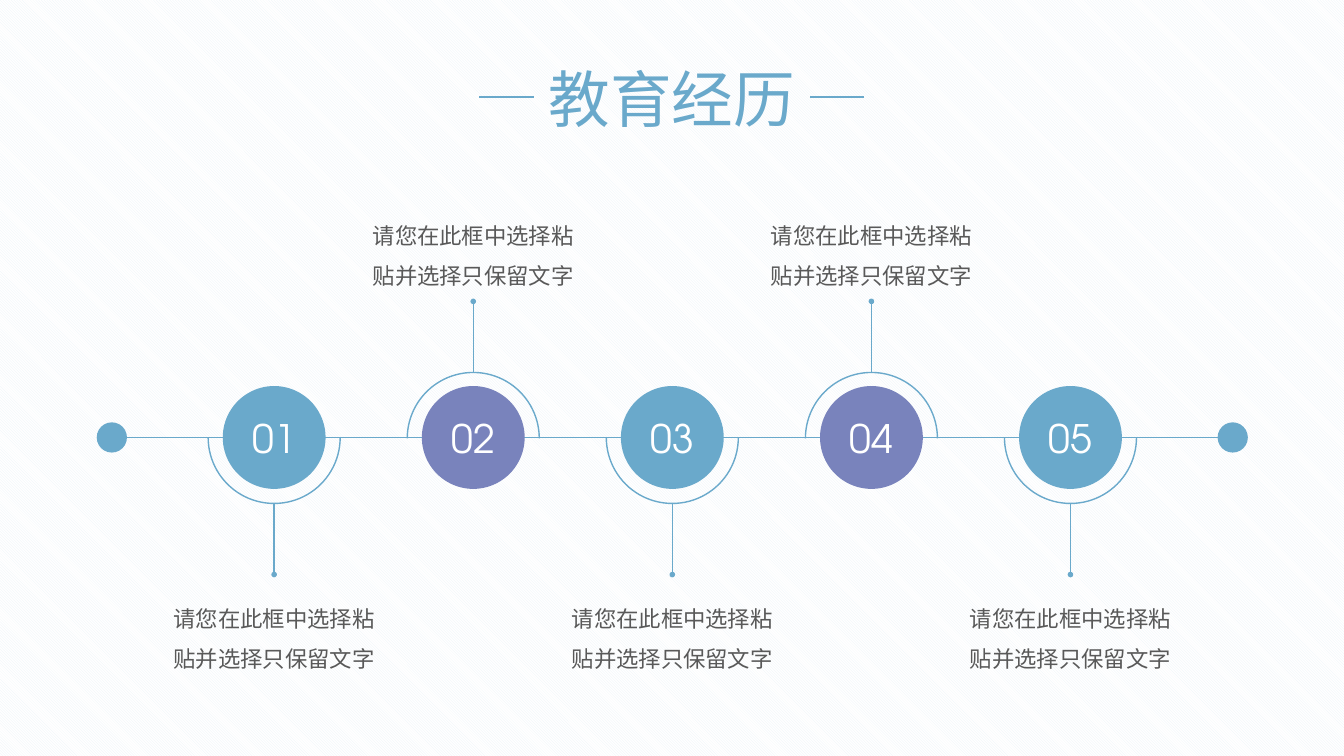
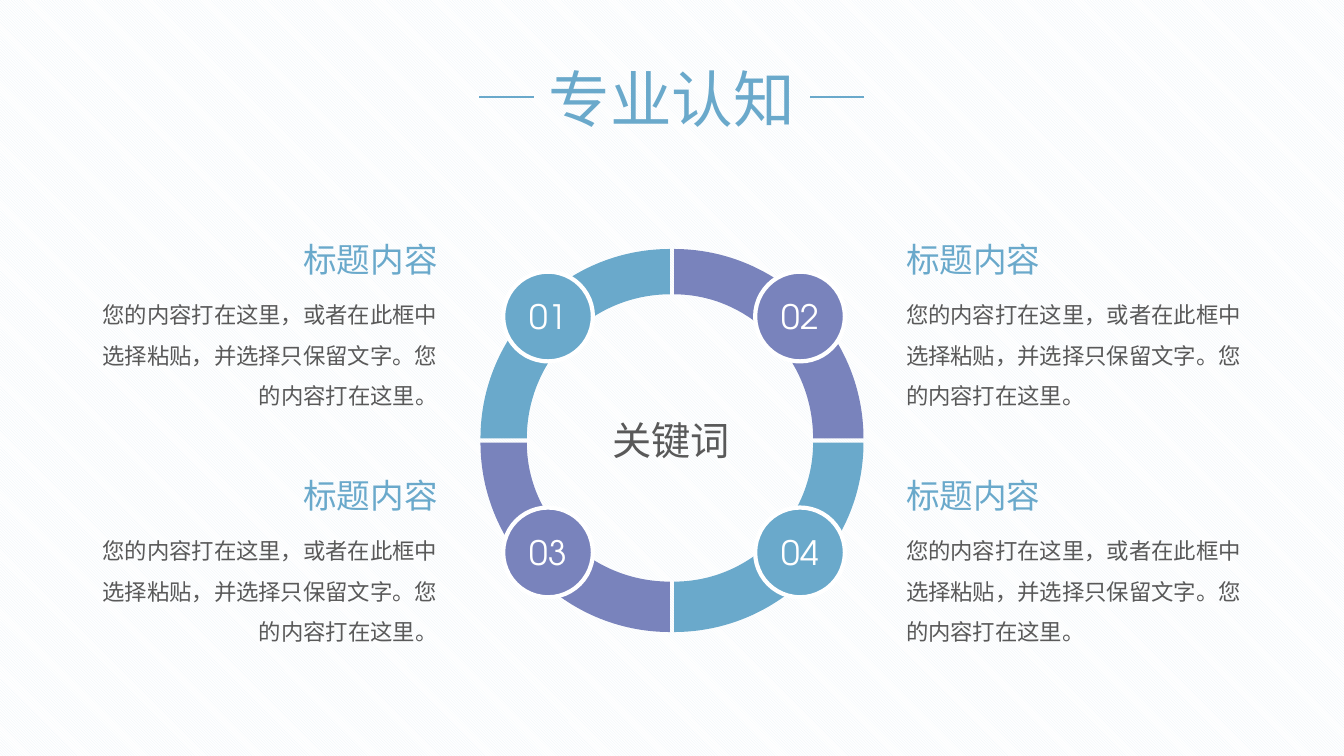
from pptx import Presentation
from pptx.dml.color import RGBColor
from pptx.enum import dml, shapes, text
from pptx.oxml import ns
from pptx.util import Inches, Pt
from lxml import etree

BLUE = RGBColor(0x6A, 0xA9, 0xCB)
PLUM = RGBColor(0x79, 0x83, 0xBC)
GREY = RGBColor(0x59, 0x59, 0x59)
PALE = RGBColor(0xE9, 0xF2, 0xF7)
WHITE = RGBColor(0xFF, 0xFF, 0xFF)
FACE = "TeX Gyre Adventor"
WIDE, HIGH = 40 / 3, 7.5
MID = WIDE / 2
BOW = 0.55
LEFT, CENTER, RIGHT = text.PP_ALIGN.LEFT, text.PP_ALIGN.CENTER, text.PP_ALIGN.RIGHT
STEP_TEXT = "请您在此框中选择粘贴并选择只保留文字"
NOTE_TEXT = "您的内容打在这里，或者在此框中选择粘贴，并选择只保留文字。您的内容打在这里。"


def write(frame, words, size, color, align=CENTER, space=None):
    frame.text = words
    para = frame.paragraphs[0]
    para.alignment = align
    if space:
        para.line_spacing = space
    for run in para.runs:
        font = run.font
        font.size = Pt(size)
        font.name = FACE
        font.color.rgb = color
        east = etree.SubElement(run._r.get_or_add_rPr(), ns.qn("a:ea"))
        east.set("typeface", FACE)


def label(slide, x, y, w, h, *words, wrap=True, **style):
    frame = slide.shapes.add_textbox(*map(Inches, (x, y, w, h))).text_frame
    frame.word_wrap = wrap
    frame.auto_size = text.MSO_AUTO_SIZE.SHAPE_TO_FIT_TEXT
    write(frame, *words, **style)


def rule(slide, x1, y1, x2, y2, width=1, dot=False):
    line = slide.shapes.add_connector(
        shapes.MSO_CONNECTOR.STRAIGHT, *map(Inches, (x1, y1, x2, y2)))
    line.line.color.rgb = BLUE
    line.line.width = Pt(width)
    etree.SubElement(line._element.spPr, ns.qn("a:effectLst"))
    if dot:
        tail = etree.SubElement(line.line._get_or_add_ln(), ns.qn("a:tailEnd"))
        for key, value in (("type", "oval"), ("w", "sm"), ("len", "sm")):
            tail.set(key, value)


def disc(slide, x, y, size, fill, words="", points=28, edge=0):
    shape = slide.shapes.add_shape(
        shapes.MSO_SHAPE.OVAL, Inches(x - size / 2), Inches(y - size / 2),
        Inches(size), Inches(size))
    shape.shadow.inherit = False
    shape.fill.solid()
    shape.fill.fore_color.rgb = fill
    if edge:
        shape.line.color.rgb = WHITE
        shape.line.width = Pt(edge)
    else:
        shape.line.fill.background()
    if words:
        frame = shape.text_frame
        frame.vertical_anchor = text.MSO_ANCHOR.MIDDLE
        frame.word_wrap = False
        write(frame, words, points, WHITE)


def start(deck, words):
    slide = deck.slides.add_slide(deck.slide_layouts[5])
    title = slide.shapes.title
    title.left, title.top = Inches(5.33), Inches(0.55)
    title.width, title.height = Inches(2.67), Inches(0.84)
    frame = title.text_frame
    frame.word_wrap = False
    frame.auto_size = text.MSO_AUTO_SIZE.NONE
    frame.vertical_anchor = text.MSO_ANCHOR.MIDDLE
    write(frame, words, 44, BLUE)
    for side in (-1, 1):
        rule(slide, MID + side * 1.37, 0.96, MID + side * 1.91, 0.96, 1.5)
    return slide


def stop(slide, x, y, num):
    down = num % 2 == 1
    sign = 1 if down else -1
    ring = 0.655
    disc(slide, x, y, 1.02, BLUE if down else PLUM, f"{num:02}")
    hub = y if down else y + 0.01
    arc = slide.shapes.add_shape(
        shapes.MSO_SHAPE.ARC, Inches(x - ring), Inches(hub - ring),
        Inches(2 * ring), Inches(2 * ring))
    arc.shadow.inherit = False
    arc.adjustments[0], arc.adjustments[1] = (0, 108) if down else (108, 0)
    arc.fill.background()
    arc.line.color.rgb = BLUE
    arc.line.width = Pt(1)
    rule(slide, x, hub + sign * ring, x, hub + sign * 1.36, dot=True)
    top = y + 1.48 if down else y - 2.32
    label(slide, x - 1.14, top, 2.28, 0.86, STEP_TEXT, 16, GREY, space=1.5)


def timeline(slide, x, y, w, count):
    rule(slide, x, y, x + w, y)
    for end in (x, x + w):
        disc(slide, end, y, 0.3, BLUE)
    gap = 1.975
    first = x + (w - gap * (count - 1)) / 2
    for i in range(count):
        stop(slide, first + i * gap, y, i + 1)


def bend(shape, index, curve):
    line = list(shape._element.iter(ns.qn("a:lnTo")))[index]
    cubic = etree.Element(ns.qn("a:cubicBezTo"))
    for x, y in curve:
        point = etree.SubElement(cubic, ns.qn("a:pt"))
        point.set("x", str(x - shape.left))
        point.set("y", str(y - shape.top))
    line.getparent().replace(line, cubic)


def sector(slide, x, y, h, v, fill):
    outer = 1.88
    wide = 1.38 if h > 0 else 1.42
    tall = 1.38 if v > 0 else 1.43

    def spot(a, b):
        return Inches(x + h * a), Inches(y + v * b)

    rim = [spot(outer, outer * BOW), spot(outer * BOW, outer), spot(0, outer)]
    hole = [spot(wide * BOW, tall), spot(wide, tall * BOW), spot(wide, 0)]
    pen = slide.shapes.build_freeform(*spot(outer, 0))
    pen.add_line_segments([rim[-1], spot(0, tall), hole[-1]], close=True)
    shape = pen.convert_to_shape()
    bend(shape, 2, hole)
    bend(shape, 0, rim)
    shape.shadow.inherit = False
    shape.fill.solid()
    shape.fill.fore_color.rgb = fill
    shape.line.fill.background()


def wheel(slide, x, y):
    parts = [(-1, -1, BLUE), (1, -1, PLUM), (-1, 1, PLUM), (1, 1, BLUE)]
    for h, v, fill in parts:
        sector(slide, x + h * 0.02, y + v * 0.02, h, v, fill)
    for num, (h, v, fill) in enumerate(parts, 1):
        disc(slide, x + 0.02 + h * 1.25, y - 0.06 + v * 1.17, 0.89, fill,
             f"{num:02}", 24, 3)
    label(slide, x - 0.69, y - 0.29, 1.38, 0.57, "关键词", 28, GREY,
          wrap=False, align=LEFT)


def note(slide, x, y, w, align):
    head = 1.55
    shift = w - head if align == RIGHT else 0
    label(slide, x + shift, y, head, 0.5, "标题内容", 24, BLUE,
          wrap=False, align=align)
    label(slide, x, y + 0.49, w, 1.27, NOTE_TEXT, 16, GREY, align=align, space=1.5)


def main():
    deck = Presentation()
    deck.slide_width, deck.slide_height = Inches(WIDE), Inches(HIGH)
    back = deck.slide_master.background.fill
    back.patterned()
    back.pattern = dml.MSO_PATTERN.LIGHT_DOWNWARD_DIAGONAL
    back.fore_color.rgb = PALE
    back.back_color.rgb = WHITE

    timeline(start(deck, "教育经历"), 1.11, 4.34, 11.12, 5)

    slide = start(deck, "专业认知")
    wheel(slide, MID, 4.37)
    for x, align in ((0.81, RIGHT), (8.89, LEFT)):
        for y in (2.32, 4.66):
            note(slide, x, y, 3.63, align)

    deck.save("out.pptx")


if __name__ == "__main__":
    main()
